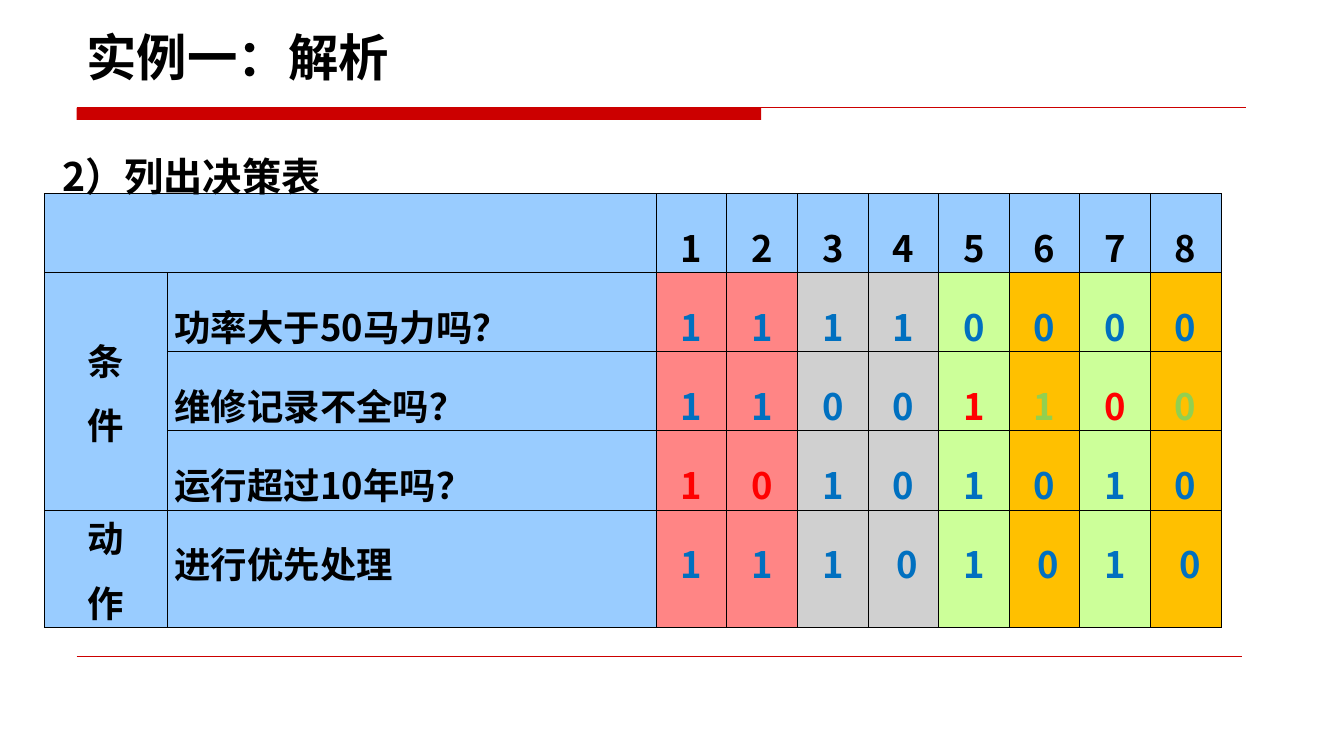
import dataclasses

import pptx
import pptx.dml.color
import pptx.enum.shapes
import pptx.enum.text
import pptx.oxml
import pptx.oxml.ns
import pptx.util

Inches = pptx.util.Inches
Pt = pptx.util.Pt
RGBColor = pptx.dml.color.RGBColor
PP_ALIGN = pptx.enum.text.PP_ALIGN
MSO_ANCHOR = pptx.enum.text.MSO_ANCHOR

FONT = "Noto Sans CJK SC"
BLACK = RGBColor(0x00, 0x00, 0x00)
CRIMSON = RGBColor(0xCC, 0x00, 0x00)
SKY = RGBColor(0x99, 0xCC, 0xFF)
ROSE = RGBColor(0xFF, 0x85, 0x85)
GRAY = RGBColor(0xD0, 0xD0, 0xD0)
LIME = RGBColor(0xCC, 0xFF, 0x99)
AMBER = RGBColor(0xFF, 0xC0, 0x00)
BLUE = RGBColor(0x00, 0x70, 0xC0)
RED = RGBColor(0xFF, 0x00, 0x00)
GREEN = RGBColor(0x92, 0xD0, 0x50)

TONES = {"b": BLUE, "r": RED, "g": GREEN, "k": BLACK}
RULE_FILLS = [ROSE, ROSE, GRAY, GRAY, LIME, AMBER, LIME, AMBER]
COLUMN_WIDTHS = [1.22, 4.85] + [0.7] * len(RULE_FILLS)
ROW_HEIGHT = 0.69


@dataclasses.dataclass(frozen=True)
class DecisionRow:
    """One row of the decision table, with a tone letter for each value."""

    group: str
    question: str
    values: list[str]
    tones: str


@dataclasses.dataclass(frozen=True)
class Heading:
    """A text box with one bold paragraph."""

    text: str
    left: float
    top: float
    width: float
    height: float
    size: float
    anchor: MSO_ANCHOR
    spacing: float
    before: float


@dataclasses.dataclass(frozen=True)
class Rule:
    """A thin horizontal line."""

    left: float
    right: float
    top: float
    weight: float


ROWS = [
    DecisionRow("", "", list("12345678"), "kkkkkkkk"),
    DecisionRow("条\n件", "功率大于50马力吗？", list("11110000"), "bbbbbbbb"),
    DecisionRow("", "维修记录不全吗？", list("11001010"[:4] + "1100"), "bbbbrgrg"),
    DecisionRow("", "运行超过10年吗？", list("10101010"), "rrbbbbbb"),
    DecisionRow("动\n作", "进行优先处理",
                [value.replace("0", "\u00a00") for value in "11101010"], "bbbbbbbb"),
]
HEADINGS = [
    Heading("实例一：解析", 0.76, 0, 11.67, 0.91, 36, MSO_ANCHOR.BOTTOM, 1, 0),
    Heading("2）列出决策表", 0.52, 1.23, 11.67, 4.67, 28, MSO_ANCHOR.TOP, 1.5, 5.6),
]
RULES = [Rule(0.76, 12.36, 1.07, 0.75), Rule(0.76, 12.32, 6.51, 0.25)]


def style_para(para, size: float, color: RGBColor, align: PP_ALIGN,
               spacing: float, before: float, after: float) -> None:
    """Set paragraph spacing and the bold font of every run."""
    para.alignment = align
    para.line_spacing = spacing
    para.space_before = Pt(before)
    para.space_after = Pt(after)
    for span in para.runs:
        span.font.size = Pt(size)
        span.font.bold = True
        span.font.name = FONT
        span.font.color.rgb = color
        east_asian = pptx.oxml.ns.qn("a:ea")
        span.font._element.makeelement(east_asian)
        latin = span.font._element.find(pptx.oxml.ns.qn("a:latin"))
        latin.addnext(latin.makeelement(east_asian, {"typeface": FONT}))


def add_heading(page, heading: Heading) -> None:
    """Draw one heading text box."""
    box = page.shapes.add_textbox(Inches(heading.left), Inches(heading.top),
                                  Inches(heading.width), Inches(heading.height))
    frame = box.text_frame
    frame.word_wrap = True
    frame.vertical_anchor = heading.anchor
    frame.text = heading.text
    style_para(frame.paragraphs[0], heading.size, BLACK, PP_ALIGN.LEFT,
               heading.spacing, heading.before, 0)


def add_rule(page, rule: Rule) -> None:
    """Draw one thin line without a shadow."""
    line = page.shapes.add_connector(
        pptx.enum.shapes.MSO_CONNECTOR.STRAIGHT, Inches(rule.left), Inches(rule.top),
        Inches(rule.right), Inches(rule.top))
    line.line.color.rgb = CRIMSON
    line.line.width = Pt(rule.weight)
    properties = line._element.spPr
    properties.append(properties.makeelement(pptx.oxml.ns.qn("a:effectLst")))


def add_title_bar(page) -> None:
    """Draw the thick bar below the title."""
    bar = page.shapes.add_shape(pptx.enum.shapes.MSO_SHAPE.RECTANGLE,
                                Inches(0.76), Inches(1.07), Inches(6.79), Inches(0.12))
    bar.shadow.inherit = False
    bar.fill.solid()
    bar.fill.fore_color.rgb = CRIMSON
    bar.line.fill.background()


def fill_cell(cell, text: str, fill: RGBColor, color: RGBColor = BLACK,
              align: PP_ALIGN = PP_ALIGN.CENTER, spacing: float = 1.5) -> None:
    """Give a cell its borders, fill and text."""
    properties = cell._tc.get_or_add_tcPr()
    for side in ("lnL", "lnR", "lnT", "lnB"):
        properties.append(pptx.oxml.parse_xml(
            f'<a:{side} {pptx.oxml.ns.nsdecls("a")} w="{Pt(0.75)}"><a:solidFill>'
            f'<a:srgbClr val="{BLACK}"/></a:solidFill></a:{side}>'))
    cell.fill.solid()
    cell.fill.fore_color.rgb = fill
    cell.margin_left = cell.margin_right = Inches(0.07)
    cell.margin_top = cell.margin_bottom = 0
    if text:
        cell.text_frame.text = text
        for para in cell.text_frame.paragraphs:
            style_para(para, 26, color, align, spacing, 2.5, 6)


def add_decision_table(page) -> None:
    """Draw the decision table."""
    table = page.shapes.add_table(
        len(ROWS), len(COLUMN_WIDTHS), Inches(0.44), Inches(1.92),
        Inches(sum(COLUMN_WIDTHS)), Inches(ROW_HEIGHT * len(ROWS))).table
    for column, width in zip(table.columns, COLUMN_WIDTHS):
        column.width = Inches(width)
    for index, row in enumerate(ROWS):
        table.rows[index].height = Inches(ROW_HEIGHT)
        group = table.cell(index, 0)
        fill_cell(group, row.group, SKY, spacing=1)
        if row.group:
            group.vertical_anchor = MSO_ANCHOR.MIDDLE
        fill_cell(table.cell(index, 1), row.question, SKY, align=PP_ALIGN.LEFT)
        fills = RULE_FILLS if index else [SKY] * len(RULE_FILLS)
        for offset, (value, tone, fill) in enumerate(zip(row.values, row.tones, fills)):
            fill_cell(table.cell(index, 2 + offset), value, fill, TONES[tone])
    table.cell(0, 0).merge(table.cell(0, 1))
    table.cell(1, 0).merge(table.cell(3, 0))


def main() -> None:
    """Build and save the slide."""
    deck = pptx.Presentation()
    deck.slide_width = Inches(13.33)
    deck.slide_height = Inches(7.5)
    page = deck.slides.add_slide(deck.slide_layouts[6])
    add_title_bar(page)
    for rule in RULES:
        add_rule(page, rule)
    add_decision_table(page)
    for heading in HEADINGS:
        add_heading(page, heading)
    deck.save("out.pptx")


main()
